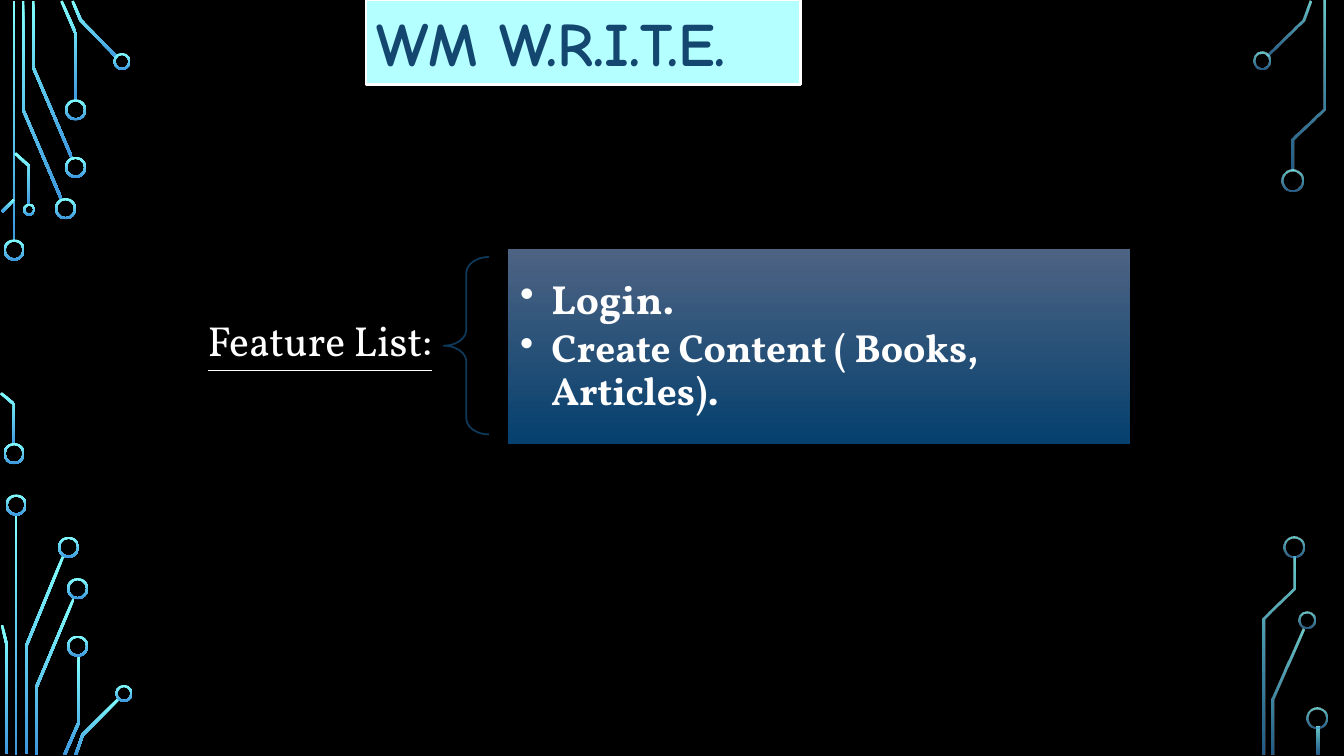
import math
from pptx import Presentation
from pptx.dml.color import RGBColor
from pptx.enum.shapes import MSO_SHAPE
from pptx.enum.text import MSO_ANCHOR, MSO_AUTO_SIZE, PP_ALIGN
from pptx.oxml.ns import qn
from pptx.util import Inches, Pt
from lxml import etree

DONUT, BRACE, RECT = MSO_SHAPE.DONUT, MSO_SHAPE.LEFT_BRACE, MSO_SHAPE.RECTANGLE
LEFT, RIGHT, MIDDLE = PP_ALIGN.LEFT, PP_ALIGN.RIGHT, MSO_ANCHOR.MIDDLE

BLACK, WHITE = RGBColor(0, 0, 0), RGBColor(255, 255, 255)
AQUA, SKY = RGBColor(0x82, 0xFF, 0xFF), RGBColor(0x3D, 0x97, 0xDE)
SLATE, NAVY = RGBColor(0x4D, 0x63, 0x83), RGBColor(0x05, 0x40, 0x6E)
TITLE_FILL, TITLE_INK = RGBColor(0xB4, 0xFF, 0xFF), RGBColor(0x13, 0x47, 0x70)
BRACE_LINE = RGBColor(0x0F, 0x39, 0x5A)
TITLE_FONT, BODY_FONT = "Comic Neue", "Vollkorn"

# Content
TITLE = "WM W.R.I.T.E."
HEADING = "Feature List:"
FEATURES = [("Login.", 29), ("Create Content ( Books, Articles).", 28)]

# Circuit art: centre lines of the tracks, then rings as (centre x, centre y, diameter)
TRACK_WIDTH, RING_WIDTH = 0.026, 0.02
LEFT_TRACKS = [
    [(0.14, 0.01), (0.14, 2.4)],
    [(0.23, 0.01), (0.23, 1.09), (0.61, 1.98)],
    [(0.33, 0.01), (0.33, 0.67), (0.71, 1.56)],
    [(0.61, 0.01), (0.75, 0.33), (0.75, 1)],
    [(0.72, 0.01), (0.8, 0.2), (1.16, 0.57)],
    [(0.02, 2.1), (0.14, 1.98)],
    [(0.01, 3.9), (0.14, 4.01), (0.14, 4.41)],
    [(0.15, 1.52), (0.29, 1.65), (0.29, 2.03)],
    [(0.16, 5.1), (0.16, 7.49)],
    [(0.26, 7.48), (0.26, 6.41), (0.63, 5.51)],
    [(0.02, 6.2), (0.07, 6.41), (0.07, 7.48)],
    [(0.36, 7.49), (0.36, 6.82), (0.73, 5.94)],
    [(0.64, 7.49), (0.78, 7.17), (0.78, 6.5)],
    [(0.75, 7.49), (0.82, 7.29), (1.18, 6.93)],
]
LEFT_RINGS = [
    (0.14, 2.48, 0.21), (0.14, 4.5, 0.21), (0.65, 2.07, 0.21), (0.75, 1.66, 0.21),
    (0.75, 1.09, 0.21), (1.21, 0.61, 0.17), (0.29, 2.08, 0.12), (0.16, 5.01, 0.21),
    (0.68, 5.43, 0.21), (0.77, 5.84, 0.21), (0.77, 6.41, 0.21), (1.23, 6.88, 0.17),
]
RIGHT_TRACKS = [
    [(13, 0.01), (12.93, 0.2), (12.57, 0.55)],
    [(12.62, 7.49), (12.62, 6.94), (12.93, 6.24)],
    [(13.13, 0.01), (13.13, 1.08), (12.82, 1.38), (12.82, 1.69)],
    [(12.84, 5.52), (12.84, 5.84), (12.53, 6.14), (12.53, 7.49)],
    [(13.07, 7.21), (13.07, 7.49)],
]
RIGHT_RINGS = [
    (12.52, 0.6, 0.17), (12.82, 1.79, 0.21), (12.96, 6.15, 0.17),
    (12.83, 5.43, 0.21), (13.06, 7.12, 0.21),
]
# Each side: tracks, rings, opacity in percent at top and bottom
CIRCUITS = [(LEFT_TRACKS, LEFT_RINGS, (100, 100)),
            (RIGHT_TRACKS, RIGHT_RINGS, (80, 60))]

prs = Presentation()
prs.slide_width, prs.slide_height = Inches(13.33), Inches(7.5)
slide = prs.slides.add_slide(prs.slide_layouts[5])
slide.background.fill.solid()
slide.background.fill.fore_color.rgb = BLACK
shapes = slide.shapes


def box(x, y, w, h):
    return [Inches(v) for v in (x, y, w, h)]


def shade(shape, top, bottom, opacity=(100, 100)):
    """Vertical gradient without outline or shadow."""
    shape.shadow.inherit = False
    shape.line.fill.background()
    shape.fill.gradient()
    shape.fill.gradient_angle = 270
    for stop, color in zip(shape.fill.gradient_stops, (top, bottom)):
        stop.color.rgb = color
    for color, percent in zip(shape._element.spPr.iter(qn("a:srgbClr")), opacity):
        if percent < 100:
            etree.SubElement(color, qn("a:alpha")).set("val", str(percent * 1000))


def track_outline(points):
    """Widen a centre line to a closed band with mitred corners."""
    normals = []
    for (x1, y1), (x2, y2) in zip(points, points[1:]):
        length = math.hypot(x2 - x1, y2 - y1)
        normals.append(((y1 - y2) / length, (x2 - x1) / length))
    near, far = [], []
    for (x, y), (ax, ay), (bx, by) in zip(points, normals[:1] + normals, normals + normals[-1:]):
        reach = TRACK_WIDTH / 2 / (1 + ax * bx + ay * by)
        dx, dy = (ax + bx) * reach, (ay + by) * reach
        near.append((Inches(x + dx), Inches(y + dy)))
        far.append((Inches(x - dx), Inches(y - dy)))
    return near + far[::-1]


def set_text(frame, insets, anchor=MIDDLE):
    frame.word_wrap = True
    frame.auto_size = MSO_AUTO_SIZE.NONE
    frame.vertical_anchor = anchor
    frame.margin_left = frame.margin_right = Inches(insets[0])
    frame.margin_top = frame.margin_bottom = Inches(insets[1])


def add_run(paragraph, text, font, size, color, bold=False, underline=False):
    run = paragraph.add_run()
    run.text = text
    run.font.name, run.font.size = font, Pt(size)
    run.font.bold, run.font.underline = bold, underline
    run.font.color.rgb = color


# Circuit art on both sides
for tracks, rings, opacity in CIRCUITS:
    for points in tracks:
        start, *rest = track_outline(points)
        builder = shapes.build_freeform(*start)
        builder.add_line_segments(rest)
        shade(builder.convert_to_shape(), AQUA, SKY, opacity)
    for x, y, size in rings:
        ring = shapes.add_shape(DONUT, *box(x - size / 2, y - size / 2, size, size))
        ring.adjustments[0] = RING_WIDTH / size
        shade(ring, AQUA, SKY, opacity)

# Title
title = shapes.title
title.left, title.top, title.width, title.height = box(3.63, 0, 4.31, 0.84)
title.fill.solid()
title.fill.fore_color.rgb = TITLE_FILL
title.line.color.rgb = WHITE
title.line.width = Pt(1.75)
set_text(title.text_frame, (0.1, 0.05))
title_line = title.text_frame.paragraphs[0]
title_line.alignment = LEFT
add_run(title_line, TITLE, TITLE_FONT, 44, TITLE_INK, bold=True)

# Heading
heading = shapes.add_textbox(*box(0.5, 2.81, 4.02, 1.18)).text_frame
set_text(heading, (0.23, 0.08))
heading_line = heading.paragraphs[0]
heading_line.alignment = RIGHT
heading_line.line_spacing = 0.9
add_run(heading_line, HEADING, BODY_FONT, 30, WHITE, underline=True)

# Brace
brace = shapes.add_shape(BRACE, *box(4.4, 2.55, 0.45, 1.76))
brace.adjustments[0], brace.adjustments[1] = 0.35, 0.5
brace.shadow.inherit = False
brace.fill.background()
brace.line.color.rgb = BRACE_LINE
brace.line.width = Pt(1.25)

# Feature panel
panel = shapes.add_shape(RECT, *box(5.04, 2.47, 6.17, 1.94))
shade(panel, SLATE, NAVY)
set_text(panel.text_frame, (0.12, 0.12))
for i, (feature, size) in enumerate(FEATURES):
    item = panel.text_frame.add_paragraph() if i else panel.text_frame.paragraphs[0]
    item.alignment, item.level = LEFT, 1
    item.line_spacing, item.space_after = 0.9, Pt(4)
    props = item._p.get_or_add_pPr()
    props.set("marL", str(Inches(0.31)))
    props.set("indent", str(-Inches(0.31)))
    etree.SubElement(props, qn("a:buChar")).set("char", "•")
    add_run(item, feature, BODY_FONT, size, WHITE, bold=True)

prs.save("out.pptx")
